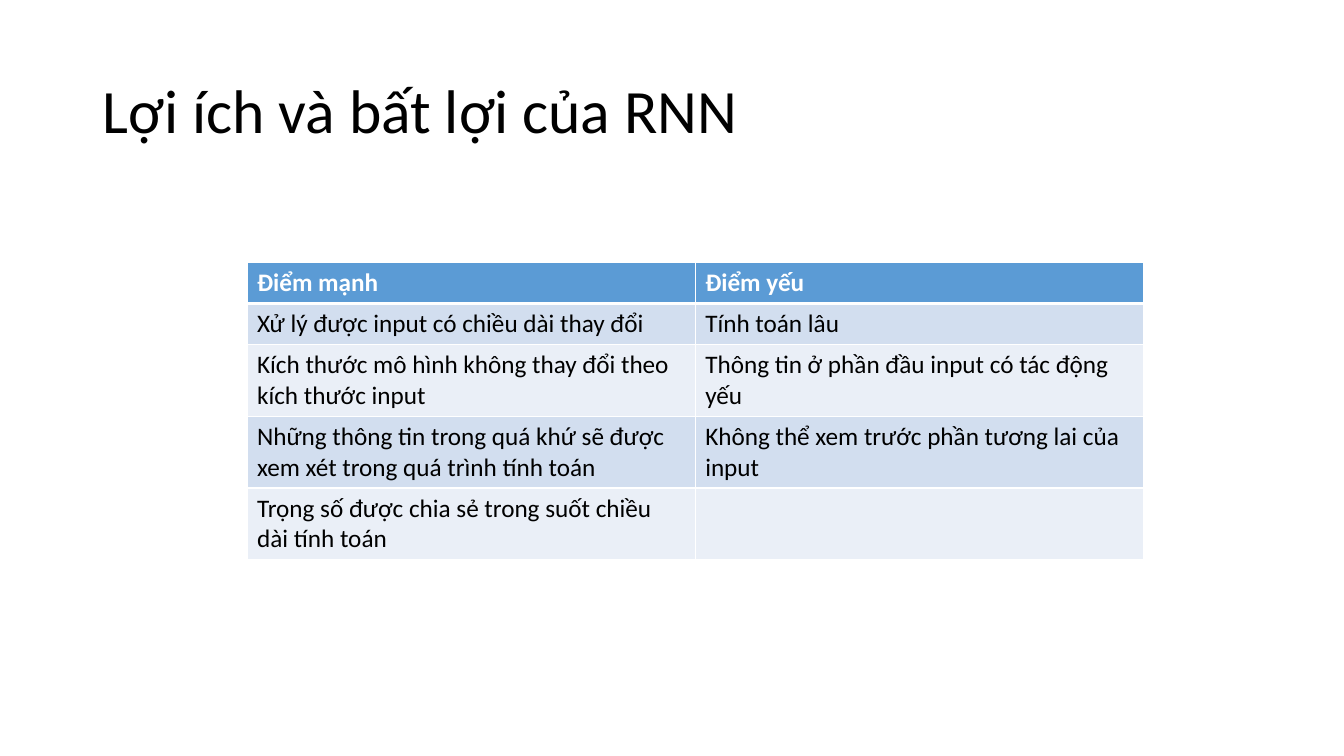
from dataclasses import dataclass

from lxml.etree import SubElement
from pptx import Presentation
from pptx.dml.color import RGBColor as RGB
from pptx.enum.text import MSO_ANCHOR as Anchor, MSO_AUTO_SIZE as AutoSize, PP_ALIGN as Align
from pptx.oxml.ns import qn
from pptx.util import Inches, Pt

COLORS = {
    "text": "000000",
    "white": "FFFFFF",
    "header": "5B9BD5",
    "odd": "D2DEEF",
    "even": "EAEFF7",
}
FONT = "Calibri"


@dataclass
class Row:
    strength: str
    weakness: str
    fill: str
    color: str = "text"
    bold: bool = False
    bottom: float = 1


ROWS = [
    Row("Điểm mạnh", "Điểm yếu", "header", "white", True, 3),
    Row("Xử lý được input có chiều dài thay đổi", "Tính toán lâu", "odd"),
    Row("Kích thước mô hình không thay đổi theo kích thước input",
        "Thông tin ở phần đầu input có tác động yếu", "even"),
    Row("Những thông tin trong quá khứ sẽ được xem xét trong quá trình tính toán",
        "Không thể xem trước phần tương lai của input", "odd"),
    Row("Trọng số được chia sẻ trong suốt chiều dài tính toán", "", "even"),
]


def format_runs(tf, size: float, color: str, bold: bool = False) -> None:
    for p in tf.paragraphs:
        for r in p.runs:
            r.font.name = FONT
            r.font.size = Pt(size)
            r.font.bold = bold
            r.font.color.rgb = RGB.from_string(COLORS[color])


def set_borders(cell, top: float, bottom: float) -> None:
    tc_pr = cell._tc.get_or_add_tcPr()
    for side, width in (("L", 1), ("R", 1), ("T", top), ("B", bottom)):
        ln = SubElement(tc_pr, qn(f"a:ln{side}"), w=str(Pt(width)))
        fill = SubElement(ln, qn("a:solidFill"))
        SubElement(fill, qn("a:srgbClr"), val=COLORS["white"])


def add_title(s, text: str) -> None:
    title = s.shapes.title
    title.left, title.top = Inches(0.92), Inches(0.4)
    title.width, title.height = Inches(11.5), Inches(1.45)
    tf = title.text_frame
    tf.text = text
    tf.word_wrap = True
    tf.auto_size = AutoSize.NONE
    tf.vertical_anchor = Anchor.MIDDLE
    p = tf.paragraphs[0]
    p.alignment = Align.LEFT
    p.line_spacing = 0.9
    format_runs(tf, 44, "text")


def add_comparison(s, rows: list[Row]) -> None:
    row_height = Inches(0.41)
    table = s.shapes.add_table(len(rows), 2, Inches(2.45), Inches(2.6),
                               Inches(8.89), row_height * len(rows)).table
    top = 1
    for i, row in enumerate(rows):
        table.rows[i].height = row_height
        for j, text in enumerate((row.strength, row.weakness)):
            cell = table.cell(i, j)
            cell.text_frame.text = text
            format_runs(cell.text_frame, 18, row.color, row.bold)
            set_borders(cell, top, row.bottom)
            cell.fill.solid()
            cell.fill.fore_color.rgb = RGB.from_string(COLORS[row.fill])
        top = row.bottom


def main() -> None:
    prs = Presentation()
    prs.slide_width, prs.slide_height = Inches(13.33), Inches(7.5)
    s = prs.slides.add_slide(prs.slide_layouts[5])
    add_title(s, "Lợi ích và bất lợi của RNN")
    add_comparison(s, ROWS)
    prs.save("out.pptx")


if __name__ == "__main__":
    main()
